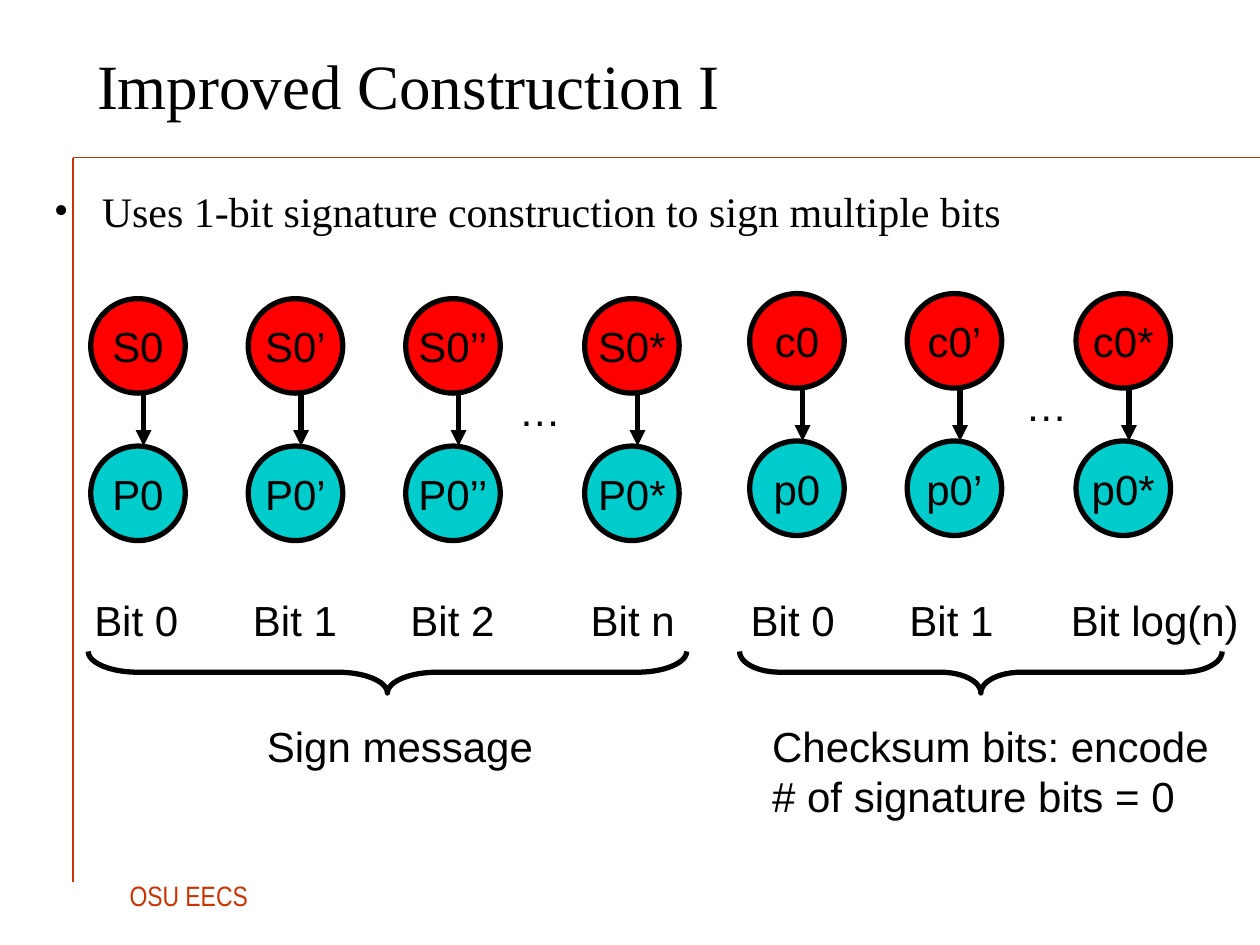
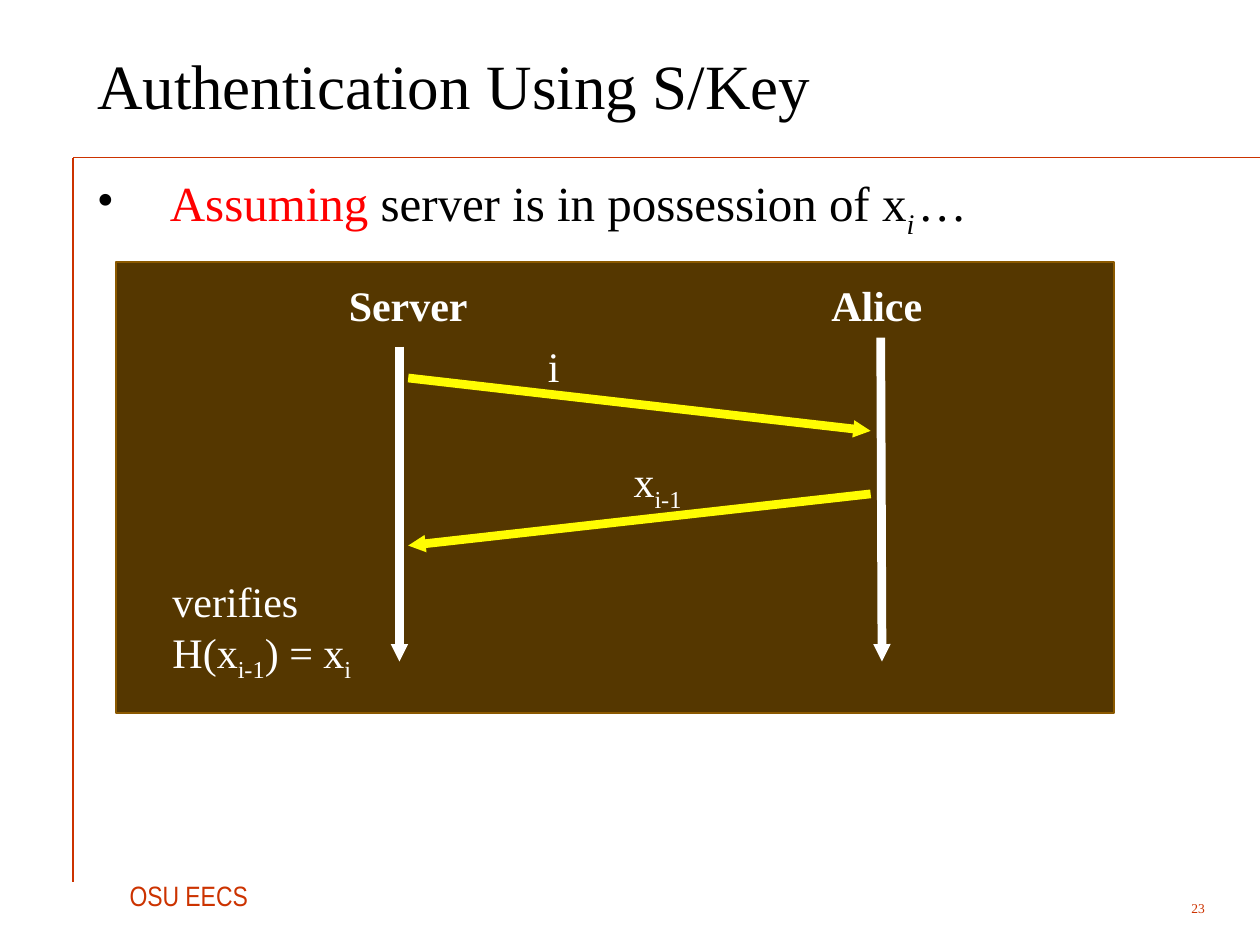
import pptx
import pptx.util
import pptx.dml.color
import pptx.enum.shapes
import pptx.enum.text
import pptx.oxml.ns
from dataclasses import dataclass
from lxml import etree

Inches = pptx.util.Inches
Pt = pptx.util.Pt
SHAPE = pptx.enum.shapes.MSO_SHAPE
ALIGN = pptx.enum.text.PP_ALIGN
ANCHOR = pptx.enum.text.MSO_ANCHOR
qn = pptx.oxml.ns.qn


@dataclass(frozen=True)
class Theme:
    serif: str = "Times New Roman"
    sans: str = "Arial"
    narrow: str = "Arial Narrow"
    ink: str = "000000"
    accent: str = "CC3300"
    red: str = "FF0000"
    teal: str = "00CCCC"
    white: str = "FFFFFF"
    yellow: str = "FFFC02"
    panel: str = "553700"
    panel_edge: str = "8B5900"
    title_size: float = 36
    lead_size: float = 28
    text_size: float = 24
    footer_size: float = 16
    number_size: float = 7.7


THEME = Theme()

FOOTER = "OSU EECS"
RULES = [((0.58, 1.25), (10, 1.25), 0.25), ((0.58, 1.25), (0.58, 7), 0.75)]

CONSTRUCTION = {
    "title": "Improved Construction I",
    "bullet": "Uses 1-bit signature construction to sign multiple bits",
    "chains": [
        {
            "top": 2.37,
            "bits": [
                ("S0", "P0", 0.72, "Bit 0", 0.65),
                ("S0’", "P0’", 1.97, "Bit 1", 1.91),
                ("S0’’", "P0’’", 3.22, "Bit 2", 3.16),
                ("S0*", "P0*", 4.64, "Bit n", 4.59),
            ],
            "dots_left": 4.02,
            "brace": (0.7, 5.45),
            "caption": ["Sign message"],
            "caption_box": (2.02, 5.67, 2.4, 0.5),
        },
        {
            "top": 2.33,
            "bits": [
                ("c0", "p0", 5.95, "Bit 0", 5.86),
                ("c0’", "p0’", 7.2, "Bit 1", 7.12),
                ("c0*", "p0*", 8.54, "Bit log(n)", 8.4),
            ],
            "dots_left": 8.04,
            "brace": (5.87, 9.7),
            "caption": ["Checksum bits: encode", "# of signature bits = 0"],
            "caption_box": (6.03, 5.67, 3.8, 0.9),
        },
    ],
}
CIRCLE = 0.75
CHAIN_STEP = 1.17
ARROW_OFFSET = 0.42
DOTS_OFFSET = 0.63
LABEL_TOP = 4.67
LABEL_WIDTH, LONG_LABEL_WIDTH = 1, 1.6
BRACE_TOP, BRACE_DEPTH = 5.17, 0.33

SUB = {"sub": True}
AUTHENTICATION = {
    "title": "Authentication Using S/Key",
    "number": "23",
    "bullet": [
        ("Assuming", {"color": THEME.red}),
        (" server is in possession of x", {}),
        ("i ", {"sub": True, "italic": True}),
        ("…", {"italic": True}),
    ],
    "panel": (0.92, 2.08, 7.92, 3.58),
    "arrows": [
        ((3.17, 2.75), (3.17, 5.25), THEME.white),
        ((6.99, 2.68), (7, 5.25), THEME.white),
        ((3.24, 3), (6.91, 3.42), THEME.yellow),
        ((6.91, 3.92), (3.24, 4.33), THEME.yellow),
    ],
    "messages": [
        (["i"], (4.25, 2.65, 0.4, 0.5)),
        ([[("x", {}), ("i-1", SUB)]], (4.93, 3.57, 0.7, 0.56)),
        (["verifies", [("H(x", {}), ("i-1", SUB), (") = x", {}), ("i", SUB)]],
         (1.27, 4.52, 1.75, 0.96)),
    ],
    "parties": [
        (["Alice"], (6.5, 2.17, 1.1, 0.5)),
        (["Server"], (2.67, 2.17, 1.3, 0.5)),
    ],
}


def rgb(color):
    return pptx.dml.color.RGBColor.from_string(color)


def write(frame, lines, font, size, color, align=ALIGN.LEFT, bold=False):
    for index, line in enumerate(lines):
        paragraph = frame.paragraphs[0] if index == 0 else frame.add_paragraph()
        paragraph.alignment = align
        paragraph.font.name = font
        paragraph.font.size = Pt(size)
        paragraph.font.bold = bold
        paragraph.font.color.rgb = rgb(color)
        for text, style in [(line, {})] if isinstance(line, str) else line:
            run = paragraph.add_run()
            run.text = text
            if "color" in style:
                run.font.color.rgb = rgb(style["color"])
            if "italic" in style:
                run.font.italic = True
            if "sub" in style:
                run._r.get_or_add_rPr().set("baseline", "-25000")


def add_text(shapes, box, lines, font, size, color, **options):
    frame = shapes.add_textbox(*map(Inches, box)).text_frame
    frame.word_wrap = True
    write(frame, lines, font, size, color, **options)
    return frame


def add_bullet(slide, box, line, size, indent, before, spacing=1.0):
    frame = add_text(slide.shapes, box, [line], THEME.serif, size, THEME.ink)
    paragraph = frame.paragraphs[0]
    paragraph.space_before = Pt(before)
    paragraph.line_spacing = spacing
    properties = paragraph._p.get_or_add_pPr()
    properties.set("marL", str(Inches(indent)))
    properties.set("indent", str(-Inches(indent)))
    color = etree.Element(qn("a:buClr"))
    etree.SubElement(color, qn("a:srgbClr")).set("val", THEME.ink)
    typeface = etree.Element(qn("a:buFont"))
    typeface.set("typeface", THEME.serif)
    mark = etree.Element(qn("a:buChar"))
    mark.set("char", "•")
    run_defaults = properties.find(qn("a:defRPr"))
    for element in (color, typeface, mark):
        run_defaults.addprevious(element)


def add_line(shapes, start, end, color, width, head=None):
    line = shapes.add_connector(
        pptx.enum.shapes.MSO_CONNECTOR.STRAIGHT, *map(Inches, start + end))
    line.line.color.rgb = rgb(color)
    line.line.width = Pt(width)
    if head:
        tip = etree.SubElement(line.line._get_or_add_ln(), qn("a:tailEnd"))
        tip.set("type", "triangle")
        tip.set("w", head)
        tip.set("len", head)
    etree.SubElement(line._element.spPr, qn("a:effectLst"))


def add_figure(shapes, kind, box, fill, edge, width):
    figure = shapes.add_shape(kind, *map(Inches, box))
    figure.shadow.inherit = False
    if fill:
        figure.fill.solid()
        figure.fill.fore_color.rgb = rgb(fill)
    else:
        figure.fill.background()
    figure.line.color.rgb = rgb(edge)
    figure.line.width = Pt(width)
    return figure


def add_slide(deck, title):
    slide = deck.slides.add_slide(deck.slide_layouts[5])
    for start, end, width in RULES:
        add_line(slide.shapes, start, end, THEME.accent, width)
    footer = add_text(slide.shapes, (0.93, 6.92, 1.4, 0.37), [FOOTER],
                      THEME.narrow, THEME.footer_size, THEME.accent)
    footer.paragraphs[0].space_before = Pt(4)
    heading = slide.shapes.title
    heading.left, heading.top, heading.width, heading.height = map(
        Inches, (0.67, 0.17, 9.01, 1))
    heading.text_frame.vertical_anchor = ANCHOR.MIDDLE
    write(heading.text_frame, [title], THEME.serif, THEME.title_size, THEME.ink)
    return slide


def add_key(shapes, text, left, top, fill):
    key = add_figure(shapes, SHAPE.OVAL, (left, top, CIRCLE, CIRCLE), fill, THEME.ink, 3)
    key.text_frame.word_wrap = False
    key.text_frame.vertical_anchor = ANCHOR.MIDDLE
    write(key.text_frame, [text], THEME.sans, THEME.text_size, THEME.ink, ALIGN.CENTER)


def add_brace(shapes, start, end):
    length = end - start
    left = (start + end - BRACE_DEPTH) / 2
    top = BRACE_TOP + (BRACE_DEPTH - length) / 2
    brace = add_figure(shapes, SHAPE.LEFT_BRACE, (left, top, BRACE_DEPTH, length),
                       None, THEME.ink, 3)
    brace.adjustments[0] = length / 12 / BRACE_DEPTH
    brace.rotation = 270


def build_construction(deck):
    slide = add_slide(deck, CONSTRUCTION["title"])
    shapes = slide.shapes
    label_style = (THEME.sans, THEME.text_size, THEME.ink)
    add_bullet(slide, (0.33, 1.42, 9.33, 5.08), CONSTRUCTION["bullet"],
               THEME.text_size, 0.38, 6)
    for chain in CONSTRUCTION["chains"]:
        top = chain["top"]
        for secret, public, left, label, label_left in chain["bits"]:
            add_key(shapes, secret, left, top, THEME.red)
            add_key(shapes, public, left, top + CHAIN_STEP, THEME.teal)
            arrow_x = left + ARROW_OFFSET
            add_line(shapes, (arrow_x, top + CIRCLE), (arrow_x, top + CHAIN_STEP),
                     THEME.ink, 3, head="med")
            label_width = LONG_LABEL_WIDTH if len(label) > 5 else LABEL_WIDTH
            add_text(shapes, (label_left, LABEL_TOP, label_width, 0.5), [label], *label_style)
        add_text(shapes, (chain["dots_left"], top + DOTS_OFFSET, 0.6, 0.5), ["…"],
                 *label_style)
        add_brace(shapes, *chain["brace"])
        add_text(shapes, chain["caption_box"], chain["caption"], *label_style)


def build_authentication(deck):
    slide = add_slide(deck, AUTHENTICATION["title"])
    number = add_text(slide.shapes, (8.83, 7.08, 0.83, 0.25), [AUTHENTICATION["number"]],
                      THEME.serif, THEME.number_size, THEME.accent, align=ALIGN.RIGHT)
    number.vertical_anchor = ANCHOR.MIDDLE
    add_bullet(slide, (0.67, 1.33, 9.03, 1.07), AUTHENTICATION["bullet"],
               THEME.lead_size, 0.58, 7, 0.9)
    exchange = slide.shapes.add_group_shape().shapes
    add_figure(exchange, SHAPE.RECTANGLE, AUTHENTICATION["panel"],
               THEME.panel, THEME.panel_edge, 1)
    for start, end, color in AUTHENTICATION["arrows"]:
        add_line(exchange, start, end, color, 5, head="sm")
    for part, bold in (("messages", False), ("parties", True)):
        for lines, box in AUTHENTICATION[part]:
            add_text(exchange, box, lines, THEME.serif, THEME.text_size, THEME.white, bold=bold)


def main():
    deck = pptx.Presentation()
    deck.slide_width, deck.slide_height = Inches(10), Inches(7.5)
    build_construction(deck)
    build_authentication(deck)
    deck.save("out.pptx")


if __name__ == "__main__":
    main()
